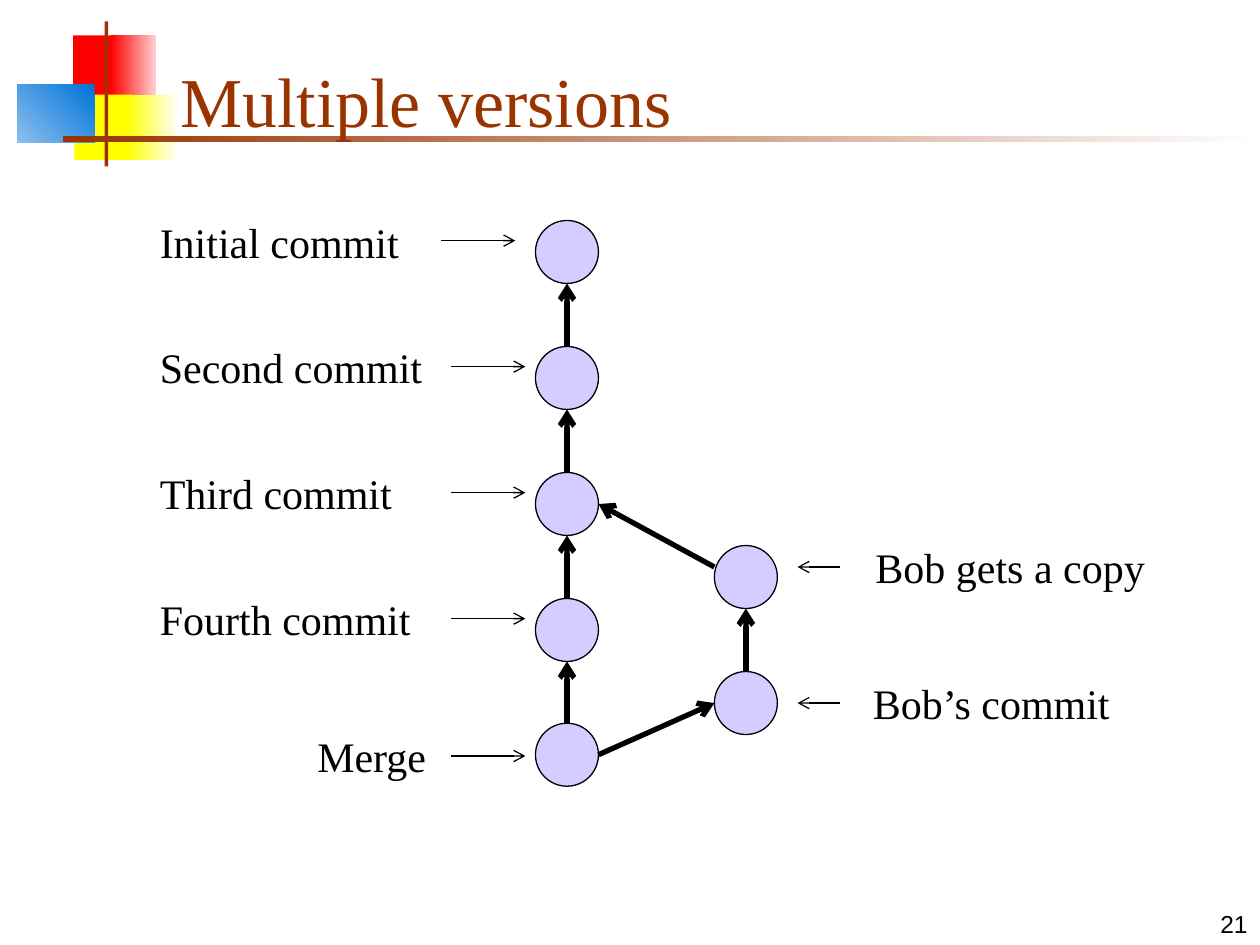
from dataclasses import dataclass
from lxml.etree import SubElement
from pptx import Presentation
from pptx.dml.color import RGBColor as RGB
from pptx.enum.shapes import MSO_CONNECTOR as CONN, MSO_SHAPE as SHAPE
from pptx.enum.text import MSO_ANCHOR as ANCHOR, MSO_AUTO_SIZE as FIT, PP_ALIGN as ALIGN
from pptx.oxml.ns import qn
from pptx.util import Inches, Pt


@dataclass(frozen=True)
class Theme:
    serif: str = "Times New Roman"
    sans: str = "Arial"
    title_size: int = 40
    label_size: int = 24
    number_size: int = 14
    thin: float = 0.75
    thick: float = 3
    ink: str = "000000"
    accent: str = "993300"
    node: str = "D6CCFF"
    red: str = "FF0000"
    yellow: str = "FFFF00"
    blue: str = "0073D9"
    pale_red: str = "FFD1D1"
    pale_yellow: str = "FFFFF0"
    pale_blue: str = "8BBFEE"
    white: str = "FFFFFF"


def assign(obj, values):
    for name, value in values.items():
        setattr(obj, name, value)


class Deck:
    def __init__(self, theme):
        self.t = theme
        self.prs = Presentation()
        assign(self.prs, {"slide_width": Inches(10), "slide_height": Inches(7.5)})
        self.s = None

    def add_slide(self):
        self.s = self.prs.slides.add_slide(self.prs.slide_layouts[5])

    def set_text(self, sp, text, size, font, color, align=ALIGN.LEFT, **frame):
        tf = sp.text_frame
        assign(tf, {"word_wrap": True, "auto_size": FIT.NONE, **frame})
        p = tf.paragraphs[0]
        p.alignment = align
        r = p.add_run()
        r.text = text
        assign(r.font, {"size": Pt(size), "name": font})
        r.font.color.rgb = RGB.from_string(color)

    def title(self, text, x, y, w, h):
        sp = self.s.shapes.title
        assign(sp, {"left": Inches(x), "top": Inches(y), "width": Inches(w), "height": Inches(h)})
        self.set_text(sp, text, self.t.title_size, self.t.serif, self.t.accent,
                      vertical_anchor=ANCHOR.BOTTOM)
        sp.element.getparent().append(sp.element)

    def box(self, x, y, w, h):
        return self.s.shapes.add_textbox(Inches(x), Inches(y), Inches(w), Inches(h))

    def label(self, text, x, y, w, wrap=True):
        self.set_text(self.box(x, y, w, 0.5), text, self.t.label_size, self.t.serif, self.t.ink,
                      word_wrap=wrap, auto_size=FIT.SHAPE_TO_FIT_TEXT)

    def number(self, text):
        self.set_text(self.box(7.92, 7, 2.08, 0.5), text, self.t.number_size, self.t.sans,
                      self.t.ink, ALIGN.RIGHT, vertical_anchor=ANCHOR.BOTTOM)

    def shape(self, kind, x, y, w, h):
        sp = self.s.shapes.add_shape(kind, Inches(x), Inches(y), Inches(w), Inches(h))
        sp.shadow.inherit = False
        return sp

    def rect(self, x, y, w, h, start, end=None, angle=180):
        sp = self.shape(SHAPE.RECTANGLE, x, y, w, h)
        sp.line.fill.background()
        if end is None:
            sp.fill.solid()
            sp.fill.fore_color.rgb = RGB.from_string(start)
            return
        sp.fill.gradient()
        sp.fill.gradient_angle = angle
        for stop, color in zip(sp.fill.gradient_stops, (start, end)):
            stop.color.rgb = RGB.from_string(color)

    def node(self, x, y, d):
        sp = self.shape(SHAPE.OVAL, x, y, d, d)
        sp.fill.solid()
        sp.fill.fore_color.rgb = RGB.from_string(self.t.node)
        sp.line.color.rgb = RGB.from_string(self.t.ink)
        sp.line.width = Pt(self.t.thin)

    def arrow(self, x1, y1, x2, y2, width):
        c = self.s.shapes.add_connector(CONN.STRAIGHT, *map(Inches, (x1, y1, x2, y2)))
        c.line.color.rgb = RGB.from_string(self.t.ink)
        c.line.width = Pt(width)
        SubElement(c.get_or_add_ln(), qn("a:tailEnd"), type="arrow")
        SubElement(c.element.spPr, qn("a:effectLst"))


def main():
    t = Theme()
    deck = Deck(t)
    deck.add_slide()

    for block in (
        (0.58, 0.28, 0.35, 0.52, t.red),
        (0.88, 0.28, 0.36, 0.52, t.pale_red, t.red),
        (0.59, 0.75, 0.46, 0.52, t.yellow),
        (1, 0.75, 0.4, 0.52, t.pale_yellow, t.yellow),
        (0.14, 0.67, 0.61, 0.46, t.blue, t.pale_blue, 225),
        (0.83, 0.17, 0.03, 1.15, t.accent),
        (0.5, 1.08, 9.5, 0.05, t.white, t.accent),
    ):
        deck.rect(*block)
    deck.title("Multiple versions", 1.33, 0.25, 8.52, 0.92)
    deck.number("21")

    d = 0.5
    main_x, bob_x = 4.25, 5.67
    main_tops = [1.75, 2.75, 3.75, 4.75, 5.74]
    bob_tops = [4.33, 5.33]
    for x, tops in ((main_x, main_tops), (bob_x, bob_tops)):
        for y in tops:
            deck.node(x, y, d)
        for upper, lower in zip(tops, tops[1:]):
            deck.arrow(x + d / 2, lower, x + d / 2, upper + d, t.thick)

    right = main_x + d
    deck.arrow(bob_x, 4.5, right, main_tops[2] + d / 2, t.thick)
    deck.arrow(right, main_tops[-1] + d / 2, bob_x, bob_tops[-1] + d / 2, t.thick)

    for text, x, y, w, start, arrow_y in (
        ("Initial commit", 1.17, 1.67, 2.33, 3.5, 1.91),
        ("Second commit", 1.17, 2.66, 2.42, 3.58, 2.91),
        ("Third commit", 1.17, 3.66, 2.42, 3.58, 3.91),
        ("Fourth commit", 1.17, 4.66, 2.42, 3.58, 4.91),
        ("Merge", 2.42, 5.75, 1.17, 3.58, 6),
    ):
        deck.label(text, x, y, w)
        deck.arrow(start, arrow_y, start + 0.59, arrow_y, t.thin)

    for text, x, y, w in (
        ("Bob gets a copy", 6.85, 4.25, 2.34),
        ("Bob’s commit", 6.83, 5.33, 2.1),
    ):
        deck.label(text, x, y, w, wrap=False)
        deck.arrow(6.67, y + 0.25, 6.33, y + 0.25, t.thin)

    deck.prs.save("out.pptx")


if __name__ == "__main__":
    main()
